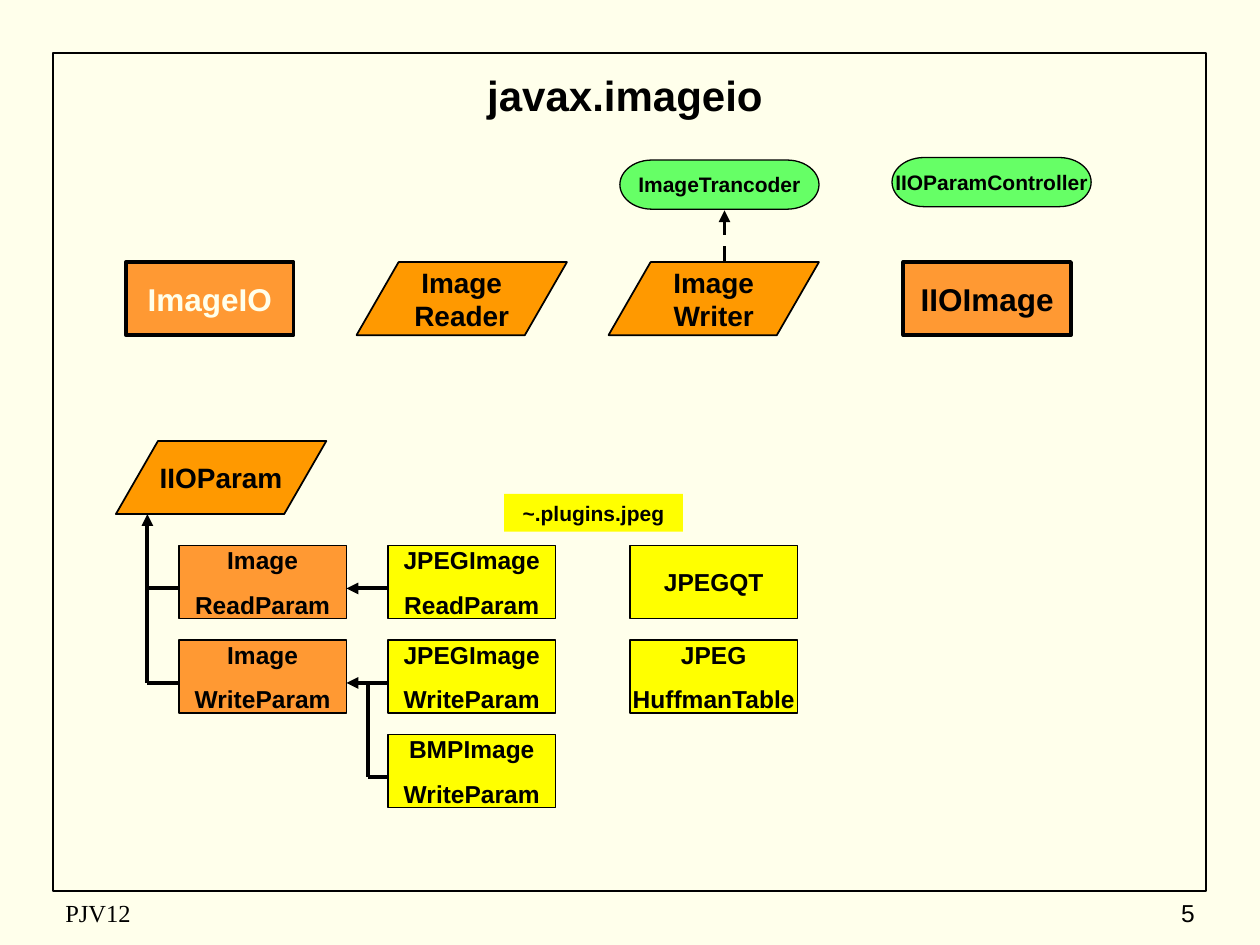
import pptx
import pptx.util
import pptx.dml.color
import pptx.enum.dml
import pptx.enum.shapes
import pptx.enum.text
import pptx.oxml
import pptx.oxml.ns

Inches = pptx.util.Inches
Pt = pptx.util.Pt
RGBColor = pptx.dml.color.RGBColor
SHAPE = pptx.enum.shapes.MSO_SHAPE
ALIGN = pptx.enum.text.PP_ALIGN
ANCHOR = pptx.enum.text.MSO_ANCHOR

CREAM = RGBColor(0xFF, 0xFF, 0xEB)
BLACK = RGBColor(0x00, 0x00, 0x00)
ORANGE = RGBColor(0xFF, 0x99, 0x33)
DEEP_ORANGE = RGBColor(0xFF, 0x99, 0x00)
GREEN = RGBColor(0x66, 0xFF, 0x66)
YELLOW = RGBColor(0xFF, 0xFF, 0x00)

CLASS_WIDTH, ABSTRACT_WIDTH, NODE_HEIGHT = 1.33, 1.67, 0.58
ROW_STEP = 0.75
LINK_DROP = 0.34  # from the top of a class box down to its link line


def write(box, lines, size, color=BLACK, bold=True, font="Arial",
          align=ALIGN.CENTER, gap=0, wrap=False):
    frame = box.text_frame
    frame.word_wrap = wrap
    frame.vertical_anchor = ANCHOR.MIDDLE
    for index, line in enumerate(lines):
        para = frame.add_paragraph() if index else frame.paragraphs[0]
        para.alignment = align
        if index and gap:
            para.space_before = Pt(gap)
        span = para.add_run()
        span.text = line
        span.font.name = font
        span.font.size = Pt(size)
        span.font.bold = bold
        span.font.color.rgb = color


def add_node(page, kind, left, top, width, height, fill=None, line=1):
    node = page.shapes.add_shape(kind, Inches(left), Inches(top),
                                 Inches(width), Inches(height))
    node.shadow.inherit = False
    if fill is None:
        node.fill.background()
    else:
        node.fill.solid()
        node.fill.fore_color.rgb = fill
    if line:
        node.line.color.rgb = BLACK
        node.line.width = Pt(line)
    else:
        node.line.fill.background()
    return node


def add_class(page, left, top, lines, fill):
    node = add_node(page, SHAPE.RECTANGLE, left, top, CLASS_WIDTH, NODE_HEIGHT, fill)
    write(node, lines, 14, gap=8.8)


def add_main_class(page, left, top, name, color):
    node = add_node(page, SHAPE.RECTANGLE, left, top, CLASS_WIDTH, NODE_HEIGHT,
                    ORANGE, 2.25)
    write(node, [name], 18, color)


def add_abstract(page, left, top, lines):
    node = add_node(page, SHAPE.FLOWCHART_DATA, left, top, ABSTRACT_WIDTH,
                    NODE_HEIGHT, DEEP_ORANGE)
    write(node, lines, 16)


def add_interface(page, left, top, name):
    node = add_node(page, SHAPE.FLOWCHART_TERMINATOR, left, top, 1.58, 0.39,
                    GREEN, 0.75)
    write(node, [name], 12)


def add_link(page, start, end, arrow=False, dashed=False):
    link = page.shapes.add_connector(
        pptx.enum.shapes.MSO_CONNECTOR.STRAIGHT,
        *(Inches(value) for value in (*start, *end)))
    link.line.color.rgb = BLACK
    link.line.width = Pt(2.25)
    if dashed:
        link.line.dash_style = pptx.enum.dml.MSO_LINE.DASH
    if arrow:
        head = pptx.oxml.parse_xml(
            f'<a:tailEnd {pptx.oxml.ns.nsdecls("a")} type="triangle"/>')
        link.line._get_or_add_ln().append(head)
    link._element.spPr.append(
        pptx.oxml.parse_xml(f'<a:effectLst {pptx.oxml.ns.nsdecls("a")}/>'))


def add_label(page, left, top, width, height, text, size, **style):
    label = page.shapes.add_textbox(Inches(left), Inches(top),
                                    Inches(width), Inches(height))
    write(label, [text], size, **style)


def build_frame(page, left, top, width, height):
    add_node(page, SHAPE.RECTANGLE, left, top, width, height)
    # Title
    add_label(page, left + 0.08, top + 0.08, 8.92, 0.5, "javax.imageio", 24, wrap=True)
    # Footer
    bottom = top + height + 0.01
    add_label(page, left, bottom, 3.17, 0.33, "PJV12", 14, bold=False,
              font="Times New Roman", align=ALIGN.LEFT, wrap=True)
    add_label(page, left + 7.08, bottom, 2.08, 0.33, "5", 14, bold=False,
              align=ALIGN.RIGHT, wrap=True)


def build_core_row(page, left, top):
    # Classes
    add_main_class(page, left, top, "ImageIO", CREAM)
    add_abstract(page, left + 1.83, top, ["Image", "Reader"])
    add_abstract(page, left + 3.83, top, ["Image", "Writer"])
    add_main_class(page, left + 6.17, top, "IIOImage", BLACK)
    # Interfaces
    add_interface(page, left + 3.92, top - 0.81, "ImageTrancoder")
    add_interface(page, left + 6.08, top - 0.83, "IIOParamController")
    add_link(page, (left + 4.75, top), (left + 4.75, top - 0.41),
             arrow=True, dashed=True)


def build_param_tree(page, left, top):
    trunk, base, derived = left + 0.25, left + 0.5, left + 2.16
    base_right, branch = left + 1.83, left + 2
    rows = [top + 0.83 + ROW_STEP * row for row in range(3)]
    links = [row + LINK_DROP for row in rows]

    # Root and its trunk
    add_abstract(page, left, top, ["IIOParam"])
    add_link(page, (trunk, links[1]), (trunk, top + NODE_HEIGHT), arrow=True)

    # Read and write parameters with their JPEG subclasses
    for row, link, name in zip(rows, links, ("ReadParam", "WriteParam")):
        add_class(page, base, row, ["Image", name], ORANGE)
        add_class(page, derived, row, ["JPEGImage", name], YELLOW)
        add_link(page, (trunk, link), (base, link))
        add_link(page, (derived, link), (base_right, link), arrow=True)

    # BMP subclass
    add_class(page, derived, rows[2], ["BMPImage", "WriteParam"], YELLOW)
    add_link(page, (branch, links[1]), (branch, links[2]))
    add_link(page, (branch, links[2]), (derived, links[2]))


def build_jpeg_plugins(page, left, top):
    caption = add_node(page, SHAPE.RECTANGLE, left, top, 1.42, 0.3, YELLOW, line=0)
    write(caption, ["~.plugins.jpeg"], 12, wrap=True)
    for row, lines in enumerate((["JPEGQT"], ["JPEG", "HuffmanTable"])):
        add_class(page, left + 1, top + 0.41 + ROW_STEP * row, lines, YELLOW)


def main():
    deck = pptx.Presentation()
    deck.slide_width, deck.slide_height = Inches(10), Inches(7.5)
    page = deck.slides.add_slide(deck.slide_layouts[6])
    page.background.fill.solid()
    page.background.fill.fore_color.rgb = CREAM

    build_frame(page, 0.42, 0.42, 9.15, 6.65)
    build_core_row(page, 1, 2.08)
    build_param_tree(page, 0.92, 3.5)
    build_jpeg_plugins(page, 4, 3.92)
    deck.save("out.pptx")


if __name__ == "__main__":
    main()
